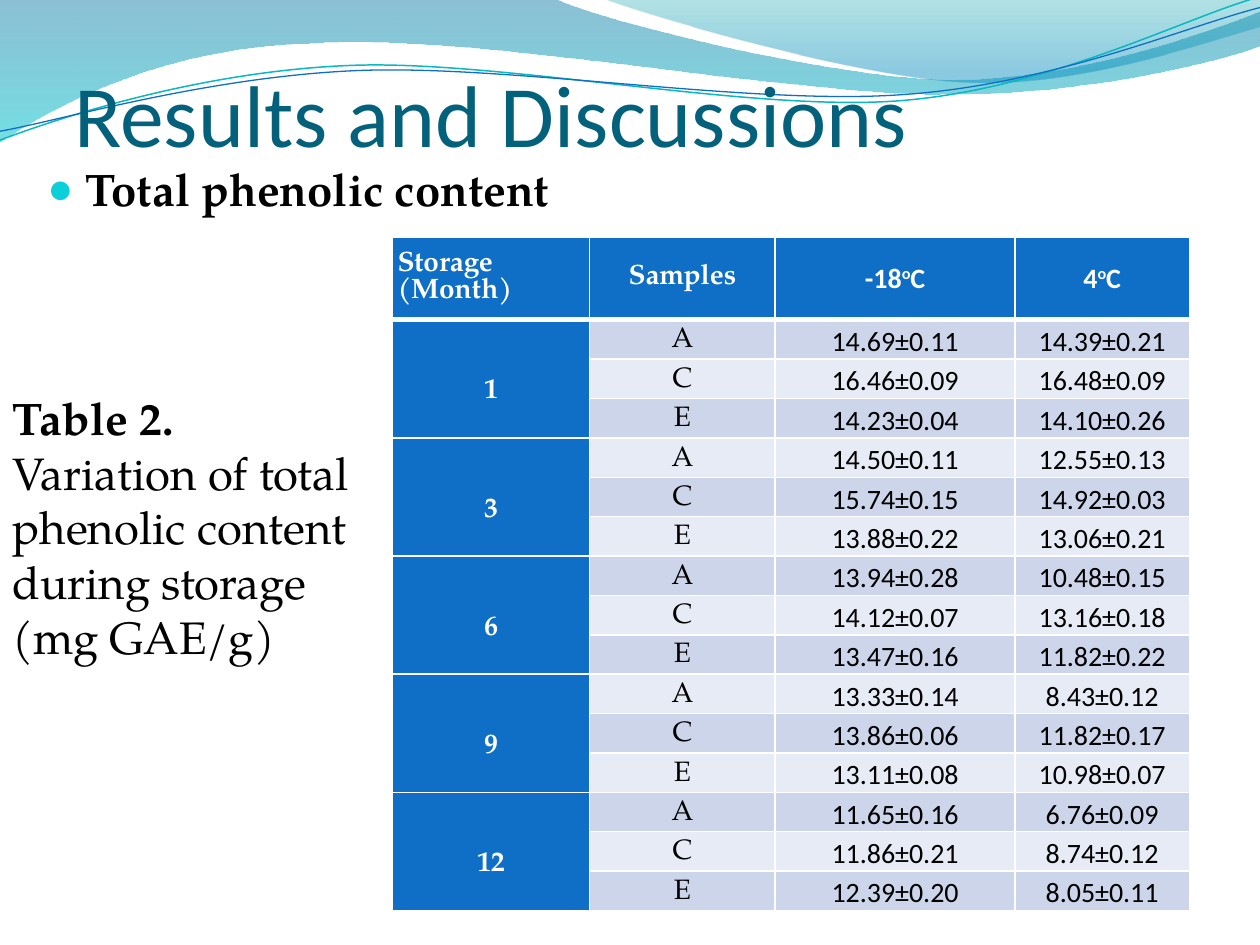
from lxml import etree
from pptx import Presentation
from pptx.dml import color as dml
from pptx.enum import text as t
from pptx.oxml import ns
from pptx.util import Pt

SERIF, SANS = "TeX Gyre Pagella", "Calibri"
BLUE, WHITE, BLACK = "0F6FC6", "FFFFFF", "000000"
BANDS = ("CCD5EA", "E7EBF5")
SAMPLES = ("A", "C", "E")
HEADINGS = (
    (("Storage (Month)",), SERIF, t.PP_ALIGN.JUSTIFY),
    (("Samples",), SERIF, t.PP_ALIGN.CENTER),
    (("-18", "o", "C"), SANS, t.PP_ALIGN.CENTER),
    (("4", "o", "C"), SANS, t.PP_ALIGN.CENTER),
)
RESULTS = {  # month: (-18 °C, 4 °C) for each sample
    "1": (("14.69±0.11", "14.39±0.21"), ("16.46±0.09", "16.48±0.09"), ("14.23±0.04", "14.10±0.26")),
    "3": (("14.50±0.11", "12.55±0.13"), ("15.74±0.15", "14.92±0.03"), ("13.88±0.22", "13.06±0.21")),
    "6": (("13.94±0.28", "10.48±0.15"), ("14.12±0.07", "13.16±0.18"), ("13.47±0.16", "11.82±0.22")),
    "9": (("13.33±0.14", "8.43±0.12"), ("13.86±0.06", "11.82±0.17"), ("13.11±0.08", "10.98±0.07")),
    "12": (("11.65±0.16", "6.76±0.09"), ("11.86±0.21", "8.74±0.12"), ("12.39±0.20", "8.05±0.11")),
}

# Waves in points: a pair is a line's end, a six is a Bezier curve
BROAD_WAVE = [
    (0, 0), (317, -0.7), (343, 12, 478, 45.4, 546, 45.4), (614, 45.4, 690, 18.7, 720, 6.5),
    (720.7, 26), (708, 31.7, 626, 54.7, 537, 54), (448, 54, 275, 20.2, 185, 24.5),
    (93, 26, 33, 59.8, -0.7, 81.4), (0, 0)]
RIGHT_WAVE = [
    (345, -0.7), (366.5, 8, 491, 44.6, 553.7, 46.8), (616.3, 49.7, 692, 23, 720, 15.1),
    (720, 0), (345, -0.7)]
# The thin lines are drawn level, then turned
TEAL_LINE = [
    (-1.4, 63.1), (33.8, 51.7, 114.1, 29.4, 199.8, 29.9),
    (284.9, 30.3, 425.8, 67.2, 512.4, 64.9), (599, 62.3, 676.5, 25.7, 720.2, 15.5)]
BLUE_LINE = [
    (-1.1, 58), (33, 53.7, 118.2, 32.6, 204.1, 33),
    (290.4, 33.4, 429.1, 63.8, 515.5, 61.4), (601.4, 59.6, 678.4, 30.1, 721.4, 21.3)]


def rgb(value):
    return dml.RGBColor.from_string(value)


def build_outline(page, outline, closed):
    """Build a freeform, joining each three points of a curve into one Bezier."""
    points = [(Pt(part[i]), Pt(part[i + 1])) for part in outline for i in range(0, len(part), 2)]
    builder = page.shapes.build_freeform(*points[0])
    builder.add_line_segments(points[1:], close=closed)
    shape = builder.convert_to_shape()
    segments = iter(list(shape.element.iter(ns.qn("a:lnTo"))))
    for part in outline[1:]:
        segment = next(segments)
        if len(part) == 6:
            segment.tag
            curve = etree.Element(ns.qn("a:cubicBezTo"))
            segment.addprevious(curve)
            for piece in (segment, next(segments), next(segments)):
                curve.append(piece[0])
                piece.getparent().remove(piece)
    return shape


def add_wave(page, outline, stops=None, line=None):
    wave = build_outline(page, outline, closed=stops is not None)
    wave.shadow.inherit = False
    if stops:
        wave.line.fill.background()
        wave.fill.gradient()
        wave.fill.gradient_angle = 270
        for stop, (position, shade, _) in zip(wave.fill.gradient_stops, stops):
            stop.position = position
            stop.color.rgb = rgb(shade)
        shades = wave.element.spPr.iter(ns.qn("a:srgbClr"))
        for shade, (_, _, opacity) in zip(shades, stops):
            etree.SubElement(shade, ns.qn("a:alpha"), val=str(opacity * 1000))
    else:
        wave.rotation = 357.3
        wave.fill.background()
        wave.line.color.rgb = rgb(line[0])
        wave.line.width = Pt(line[1])
    page.shapes.title.element.addprevious(wave.element)  # behind the text


def add_backdrop(page):
    add_wave(page, BROAD_WAVE, stops=((0, "0074A1", 45), (1, "00C6CF", 55)))
    add_wave(page, RIGHT_WAVE, stops=((0, "00A1A9", 30), (0.8, "008BBF", 45)))
    add_wave(page, TEAL_LINE, line=("0AB8BF", 0.85))
    add_wave(page, BLUE_LINE, line=(BLUE, 0.75))


def add_span(para, words, font, size, shade, bold=False):
    span = para.add_run()
    span.text = words
    span.font.name, span.font.size, span.font.bold = font, Pt(size), bold
    span.font.color.rgb = rgb(shade)
    return span


def place(shape, box):
    shape.left, shape.top, shape.width, shape.height = (Pt(length) for length in box)


def fill_title(page, box):
    title = page.shapes.title
    place(title, box)
    frame = title.text_frame
    frame.auto_size = t.MSO_AUTO_SIZE.NONE
    frame.vertical_anchor = t.MSO_ANCHOR.BOTTOM
    frame.margin_left = frame.margin_right = frame.margin_bottom = 0
    frame.margin_top = Pt(3.6)
    para = frame.paragraphs[0]
    para.alignment = t.PP_ALIGN.LEFT
    add_span(para, "Results and Discussions", SANS, 50, "04617B")


def fill_body(page, box):
    body = page.placeholders[1]
    place(body, box)
    body.text_frame.auto_size = t.MSO_AUTO_SIZE.NONE
    para = body.text_frame.paragraphs[0]
    para.space_before = Pt(5.2)
    add_span(para, "Total phenolic content", SERIF, 26, BLACK, bold=True)
    # Bullet
    props = para._p.get_or_add_pPr()
    props.set("marL", str(Pt(21.6)))
    props.set("indent", str(Pt(-21.6)))
    tint = etree.SubElement(props, ns.qn("a:buClr"))
    etree.SubElement(tint, ns.qn("a:srgbClr"), val="0BD0D9")
    etree.SubElement(props, ns.qn("a:buSzPct"), val="95000")
    etree.SubElement(props, ns.qn("a:buChar"), char="●")


def format_cell(cell, fill, spacing, side=3, anchor=t.MSO_ANCHOR.MIDDLE,
                align=t.PP_ALIGN.CENTER):
    cell.fill.solid()
    cell.fill.fore_color.rgb = rgb(fill)
    cell.margin_left = cell.margin_right = Pt(side)
    cell.margin_top = cell.margin_bottom = 0
    cell.vertical_anchor = anchor
    para = cell.text_frame.paragraphs[0]
    para.alignment, para.line_spacing = align, spacing
    return para


def add_borders(cell, widths):
    props = cell._tc.get_or_add_tcPr()
    for index, (side, width) in enumerate(zip("LRTB", widths)):
        edge = etree.Element(ns.qn("a:ln" + side), w=str(Pt(width)))
        paint = etree.SubElement(edge, ns.qn("a:solidFill"))
        etree.SubElement(paint, ns.qn("a:srgbClr"), val=WHITE)
        props.insert(index, edge)


def add_results(page, box):
    row_count = 1 + len(RESULTS) * len(SAMPLES)
    table = page.shapes.add_table(row_count, 4, *(Pt(length) for length in box)).table
    table.first_col, table.horz_banding = True, True
    for column, width in zip(table.columns, (112.8, 106, 137, 99.7)):
        column.width = Pt(width)
    for index, row in enumerate(table.rows):
        row.height = Pt(21 if index else 47.2)

    # Heading row
    for column, (words, font, align) in enumerate(HEADINGS):
        cell = table.cell(0, column)
        para = format_cell(cell, BLUE, 1.0, align=align)
        add_borders(cell, (1, 1, 1, 3))
        for word in words:
            span = add_span(para, word, font, 16, WHITE, bold=True)
            if word == "o":
                span._r.get_or_add_rPr().set("baseline", "30000")

    # One block of samples for each month
    for block, (month, values) in enumerate(RESULTS.items()):
        first = 1 + block * len(SAMPLES)
        month_cell = table.cell(first, 0)
        month_cell.merge(table.cell(first + len(SAMPLES) - 1, 0))
        add_span(format_cell(month_cell, BLUE, 2.0), month, SERIF, 16, WHITE, bold=True)
        for row, (sample, pair) in enumerate(zip(SAMPLES, values), first):
            band = BANDS[(row - 1) % 2]
            add_span(format_cell(table.cell(row, 1), band, 1.15), sample, SERIF, 16, BLACK)
            for column, value in enumerate(pair, 2):
                para = format_cell(table.cell(row, column), band, 1.15, 5, t.MSO_ANCHOR.BOTTOM)
                add_span(para, value, SANS, 16, BLACK)


def add_caption(page, box):
    frame = page.shapes.add_textbox(*(Pt(length) for length in box)).text_frame
    frame.word_wrap = True
    frame.auto_size = t.MSO_AUTO_SIZE.SHAPE_TO_FIT_TEXT
    para = frame.paragraphs[0]
    add_span(para, "Table 2. ", SERIF, 26, BLACK, bold=True)
    add_span(para, "Variation of total phenolic content during storage (mg GAE/g)",
             SERIF, 26, BLACK)


def main():
    deck = Presentation()
    deck.slide_width, deck.slide_height = Pt(720), Pt(540)
    page = deck.slides.add_slide(deck.slide_layouts[1])
    add_backdrop(page)
    fill_title(page, (42.5, 2.4, 648, 92))
    fill_body(page, (19.8, 88.5, 648, 345.6))
    add_results(page, (224.2, 135.5, 455.5, 362.2))
    add_caption(page, (0, 219.5, 208, 165))
    deck.save("out.pptx")


if __name__ == "__main__":
    main()
